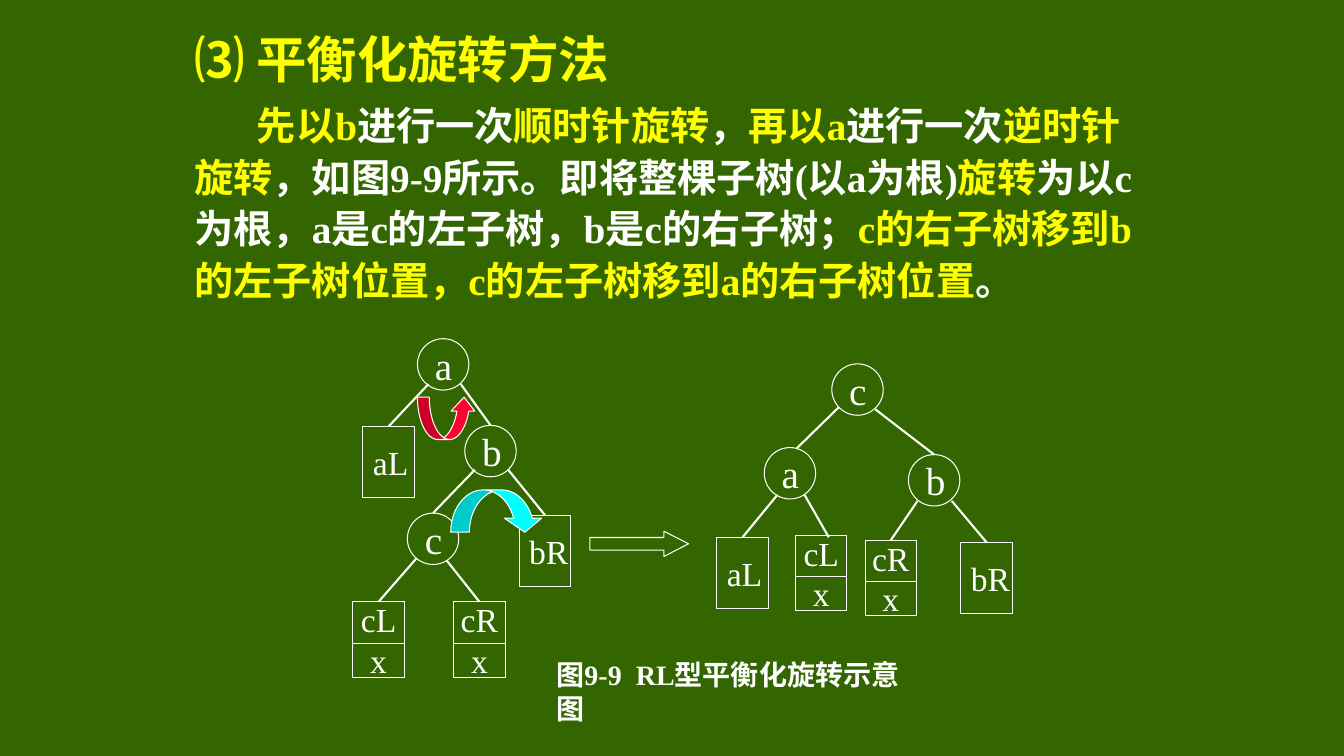
from dataclasses import dataclass
from typing import Optional

import pptx
import pptx.dml.color
import pptx.enum.shapes
import pptx.enum.text
import pptx.oxml
import pptx.oxml.ns
import pptx.util

Inches = pptx.util.Inches
Pt = pptx.util.Pt
Shape = pptx.enum.shapes.MSO_SHAPE
Align = pptx.enum.text.PP_ALIGN
Middle = pptx.enum.text.MSO_ANCHOR.MIDDLE

SERIF, SANS = "Times New Roman", "Noto Sans CJK SC"
GREEN, WHITE, YELLOW, RED, CYAN = "336600", "FFFFFF", "FFFF00", "FF0033", "00FFFF"
SIDE = 0.51  # width of every node
CUT = 0.41  # from the top of a split box to its divider

Point = tuple[float, float]


@dataclass
class Kind:
    form: int
    high: float
    size: int


@dataclass
class Node:
    text: str
    kind: Kind
    left: float
    top: float
    start: Optional[Point] = None  # where the branch leaves the parent
    end: Optional[Point] = None  # set only if the branch misses the top centre


@dataclass
class Part:
    text: str
    font: str
    color: str


ROOT = Kind(Shape.OVAL, SIDE, 28)
LEAF = Kind(Shape.RECTANGLE, 0.71, 24)
SPLIT = Kind(Shape.RECTANGLE, 0.75, 24)

NODES = [
    # Tree before the rotation
    Node("a", ROOT, 4.14, 3.36),
    Node("aL", LEAF, 3.6, 4.23, (4.25, 3.81)),
    Node("b", ROOT, 4.61, 4.22, (4.57, 3.81)),
    Node("c", ROOT, 4.04, 5.09, (4.71, 4.66)),
    Node("bR", LEAF, 5.15, 5.11, (5.04, 4.66)),
    Node("cL\nx", SPLIT, 3.5, 5.97, (4.13, 5.54)),
    Node("cR\nx", SPLIT, 4.5, 5.97, (4.43, 5.56)),
    # Tree after the rotation
    Node("c", ROOT, 8.25, 3.61),
    Node("a", ROOT, 7.58, 4.44, (8.32, 4.04), (7.9, 4.45)),
    Node("b", ROOT, 9.01, 4.51, (8.68, 4.06)),
    Node("aL", LEAF, 7.11, 5.33, (7.71, 4.91)),
    Node("cL\nx", SPLIT, 7.89, 5.31, (7.98, 4.91), (8.22, 5.33)),
    Node("cR\nx", SPLIT, 8.58, 5.36, (9.1, 4.97)),
    Node("bR", LEAF, 9.53, 5.38, (9.44, 4.97)),
]

TITLE = [Part("⑶ ", SANS, YELLOW), Part("平衡", SERIF, YELLOW), Part("化旋转方法", SANS, YELLOW)]
BODY = [
    Part("先以b", SERIF, YELLOW),
    Part("进行一次", SERIF, WHITE),
    Part("顺时针旋转", SERIF, YELLOW),
    Part("，", SANS, WHITE),
    Part("再", SANS, YELLOW),
    Part("以a", SERIF, YELLOW),
    Part("进行一次", SERIF, WHITE),
    Part("逆时针旋转", SERIF, YELLOW),
    Part("，", SANS, WHITE),
    Part("如图9-9所示", SERIF, WHITE),
    Part("。即将整棵子树", SANS, WHITE),
    Part("(以a为根)", SERIF, WHITE),
    Part("旋转", SERIF, YELLOW),
    Part("为以c为根", SERIF, WHITE),
    Part("，", SANS, WHITE),
    Part("a是c的左子树", SERIF, WHITE),
    Part("，", SANS, WHITE),
    Part("b是c的右子树；", SERIF, WHITE),
    Part("c", SERIF, YELLOW),
    Part("的", SANS, YELLOW),
    Part("右子树移到b的左子树位置", SERIF, YELLOW),
    Part("，", SANS, YELLOW),
    Part("c", SERIF, YELLOW),
    Part("的", SANS, YELLOW),
    Part("左子树移到a的右子树位置", SERIF, YELLOW),
    Part("。", SANS, WHITE),
]
LABEL = [Part("图9-9  RL型平衡", SERIF, WHITE), Part("化旋转示意图", SANS, WHITE)]


def rgb(color: str) -> pptx.dml.color.RGBColor:
    return pptx.dml.color.RGBColor.from_string(color)


def style(run, font: str, size: float, color: str, bold: bool = False) -> None:
    run.font.name = font
    run.font.size = Pt(size)
    run.font.bold = bold
    run.font.color.rgb = rgb(color)
    # Chinese glyphs take the sans face
    east = pptx.oxml.parse_xml(f'<a:ea {pptx.oxml.ns.nsdecls("a")} typeface="{SANS}"/>')
    run.font._element.find(pptx.oxml.ns.qn("a:latin")).addnext(east)


def write(para, parts: list[Part], size: float) -> None:
    for part in parts:
        run = para.add_run()
        run.text = part.text
        style(run, part.font, size, part.color, True)


def add_text(slide, left: float, top: float, wide: float, high: float, wrap: bool):
    frame = slide.shapes.add_textbox(
        Inches(left), Inches(top), Inches(wide), Inches(high)).text_frame
    frame.word_wrap = wrap
    return frame


def add_form(slide, form: int, left: float, top: float, wide: float, high: float,
             fill: Optional[str] = None, bends: tuple[float, ...] = ()):
    shape = slide.shapes.add_shape(form, Inches(left), Inches(top), Inches(wide), Inches(high))
    shape.shadow.inherit = False
    shape.line.color.rgb = rgb(WHITE)
    shape.line.width = Pt(0.75)
    if fill:
        shape.fill.solid()
        shape.fill.fore_color.rgb = rgb(fill)
    else:
        shape.fill.background()
    for i, bend in enumerate(bends):
        shape.adjustments[i] = bend
    return shape


def add_line(slide, start: Point, end: Point, width: float):
    line = slide.shapes.add_connector(
        pptx.enum.shapes.MSO_CONNECTOR.STRAIGHT, *map(Inches, start + end))
    line.line.color.rgb = rgb(WHITE)
    line.line.width = Pt(width)
    line._element.spPr.append(
        pptx.oxml.parse_xml(f'<a:effectLst {pptx.oxml.ns.nsdecls("a")}/>'))
    return line


def add_node(slide, node: Node) -> None:
    shape = add_form(slide, node.kind.form, node.left, node.top, SIDE, node.kind.high)
    frame = shape.text_frame
    frame.text = node.text
    frame.word_wrap = False
    frame.vertical_anchor = Middle
    for para in frame.paragraphs:
        para.alignment = Align.CENTER if node.kind is SPLIT else Align.LEFT
        style(para.runs[0], SERIF, node.kind.size, WHITE)
    if node.kind is SPLIT:
        mid = node.top + CUT
        add_line(slide, (node.left, mid), (node.left + SIDE, mid), 0.75)
    if node.start:
        peak = (node.left + SIDE / 2, node.top)
        line = add_line(slide, node.start, node.end or peak, 1.5)
        if not node.end:
            line.end_connect(shape, 0)


def main() -> None:
    deck = pptx.Presentation()
    deck.slide_width, deck.slide_height = Inches(13.33), Inches(7.5)
    slide = deck.slides.add_slide(deck.slide_layouts[6])
    slide.background.fill.solid()
    slide.background.fill.fore_color.rgb = rgb(GREEN)

    # Heading and explanation
    frame = add_text(slide, 1.83, 0.17, 9.58, 2.95, True)
    head, body = frame.paragraphs[0], frame.add_paragraph()
    for para, parts, size in ((head, TITLE, 36), (body, BODY, 28)):
        para.line_spacing = 1.1
        para.space_before = Pt(size * 0.2)
        write(para, parts, size)
    body._p.get_or_add_pPr().set("indent", str(Inches(0.62)))

    # Both trees
    for node in NODES:
        add_node(slide, node)

    # Rotation arrows and the step between the trees
    add_form(slide, Shape.CURVED_UP_ARROW, 4.14, 3.94, 0.58, 0.42, RED, (0.28, 0.56, 0.33))
    add_form(slide, Shape.CURVED_DOWN_ARROW, 4.47, 4.86, 0.92, 0.42, CYAN, (0.44, 0.88, 0.33))
    add_form(slide, Shape.RIGHT_ARROW, 5.85, 5.27, 0.98, 0.25, None, (0.5, 0.98))

    # Caption
    frame = add_text(slide, 5.42, 6.66, 3.82, 0.39, False)
    frame.vertical_anchor = Middle
    write(frame.paragraphs[0], LABEL, 20)

    deck.save("out.pptx")


if __name__ == "__main__":
    main()
